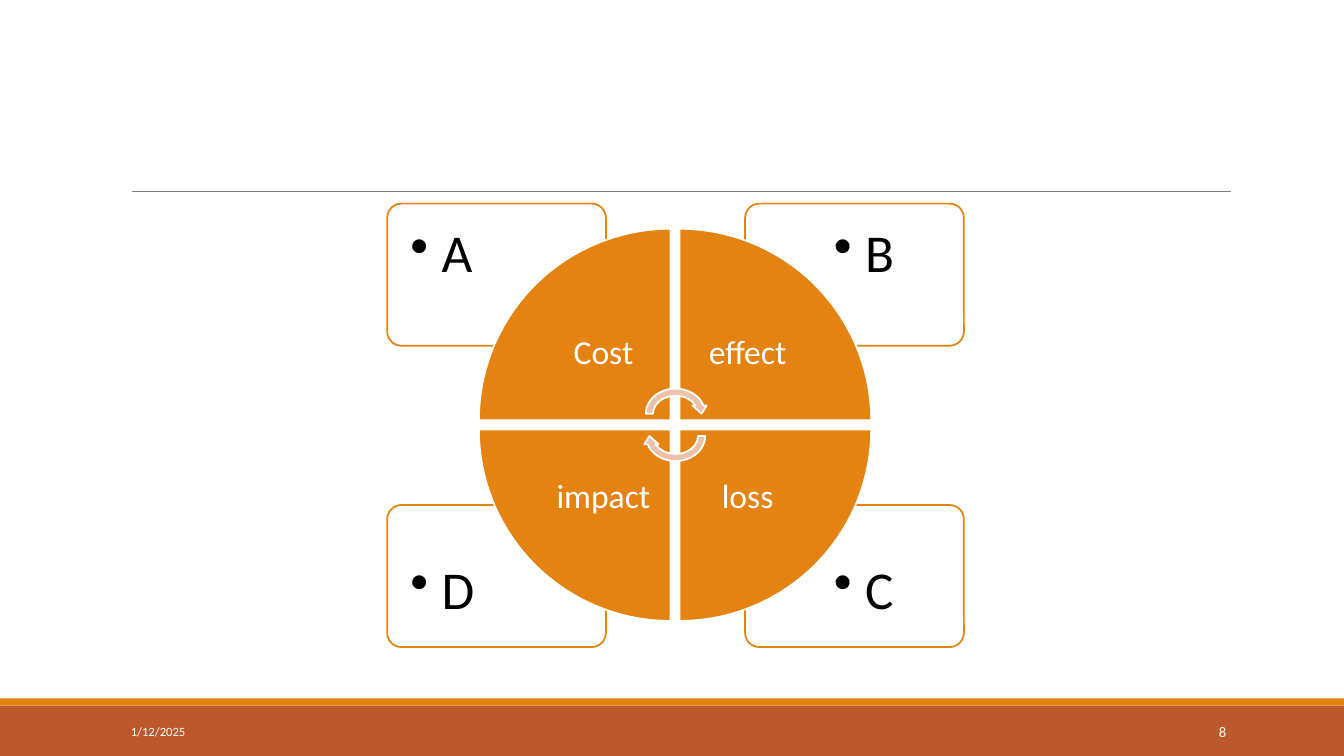
from lxml import etree
from pptx import Presentation
from pptx.dml.color import RGBColor as RGB
from pptx.enum.shapes import MSO_CONNECTOR as Conn, MSO_SHAPE as Kind
from pptx.enum.text import MSO_ANCHOR as Anchor, PP_ALIGN as Align
from pptx.oxml.ns import qn
from pptx.util import Inches, Pt


class Theme:
    font = "Calibri"
    white, black, gray = "FFFFFF", "000000", "808080"
    orange, rust, pink = "E48312", "BD582C", "EFC1AB"
    card, wedge, date, page = 38, 24, 9, 10.5
    rule, edge = 0.5, 1.25


def write(frame, text, size, color, align=Align.LEFT, spacing=1, bullet=False):
    para = frame.paragraphs[0]
    if bullet:
        props = para._p.get_or_add_pPr()
        props.set("marL", str(Inches(0.31)))
        props.set("indent", str(Inches(-0.31)))
        etree.SubElement(props, qn("a:buChar")).set("char", "•")
    para.alignment = align
    para.line_spacing = spacing
    run = para.add_run()
    run.text = text
    run.font.name = Theme.font
    run.font.size = Pt(size)
    run.font.color.rgb = RGB.from_string(color)


class Page:
    def __init__(self, deck):
        self.theme = Theme
        self.slide = deck.slides.add_slide(deck.slide_layouts[6])

    def shape(self, kind, box, fill, line=None, turn=0, adjust=None, alpha=None):
        item = self.slide.shapes.add_shape(kind, *map(Inches, box))
        item.shadow.inherit = False
        item.rotation = turn
        item.fill.solid()
        item.fill.fore_color.rgb = RGB.from_string(fill)
        if adjust is not None:
            item.adjustments[0] = adjust
        if alpha is not None:
            tint = item.fill._xPr.find(qn("a:solidFill"))[0]
            etree.SubElement(tint, qn("a:alpha")).set("val", str(alpha * 1000))
        if line:
            item.line.color.rgb = RGB.from_string(line)
            item.line.width = Pt(self.theme.edge)
        else:
            item.line.fill.background()

    def rule(self, left, right, top, color):
        ends = map(Inches, (left, top, right, top))
        line = self.slide.shapes.add_connector(Conn.STRAIGHT, *ends)
        line.line.color.rgb = RGB.from_string(color)
        line.line.width = Pt(self.theme.rule)
        etree.SubElement(line._element.spPr, qn("a:effectLst"))

    def text(self, box, text, size, color, pad=None, anchor=Anchor.MIDDLE, **form):
        frame = self.slide.shapes.add_textbox(*map(Inches, box)).text_frame
        frame.word_wrap = True
        frame.vertical_anchor = anchor
        if pad is not None:
            frame.margin_left = frame.margin_right = Inches(pad)
            frame.margin_top = frame.margin_bottom = Inches(pad)
        write(frame, text, size, color, **form)


def main():
    deck = Presentation()
    deck.slide_width, deck.slide_height = Inches(13.33), Inches(7.5)
    page, look = Page(deck), Theme

    # Footer bands and title rule
    page.shape(Kind.RECTANGLE, (0, 7, 13.33, 0.5), look.rust)
    page.shape(Kind.RECTANGLE, (0, 6.93, 13.33, 0.07), look.orange)
    page.rule(1.31, 12.21, 1.9, look.gray)

    # Quadrants clockwise from top left: column, row, letter, label
    quads = [(0, 0, "A", "Cost"), (1, 0, "B", "effect"),
             (1, 1, "C", "loss"), (0, 1, "D", "impact")]

    # Corner cards
    for col, row, letter, _ in quads:
        left, top = 3.84 + 3.55 * col, 2.02 + 2.99 * row
        page.shape(Kind.ROUNDED_RECTANGLE, (left, top, 2.17, 1.41), look.white,
                   look.orange, adjust=0.1, alpha=90)
        page.text((3.87 + 4.2 * col, 2.05 + 3.34 * row, 1.46, 0.99), letter,
                  look.card, look.black, pad=0.2, anchor=Anchor.TOP,
                  spacing=0.9, bullet=True)

    # Wheel
    for turn, (col, row, _, label) in enumerate(quads):
        page.shape(Kind.PIE_WEDGE, (4.75 + 1.99 * col, 2.27 + 1.99 * row, 1.9, 1.9),
                   look.orange, look.white, turn=90 * turn)
        page.text((5.31 + 1.43 * col, 2.83 + 1.43 * row, 1.35, 1.35), label,
                  look.wedge, look.white, pad=0.19, align=Align.CENTER, spacing=0.9)

    # Cycle arrows
    for top, turn in ((3.82, 0), (4.04, 180)):
        page.shape(Kind.CIRCULAR_ARROW, (6.37, top, 0.66, 0.57), look.pink,
                   look.white, turn=turn)

    # Date and page number
    page.text((1.2, 7.06, 2.7, 0.4), "1/12/2025", look.date, look.white)
    page.text((10.83, 7.06, 1.43, 0.4), "8", look.page, look.white, align=Align.RIGHT)

    deck.save("out.pptx")


if __name__ == "__main__":
    main()
